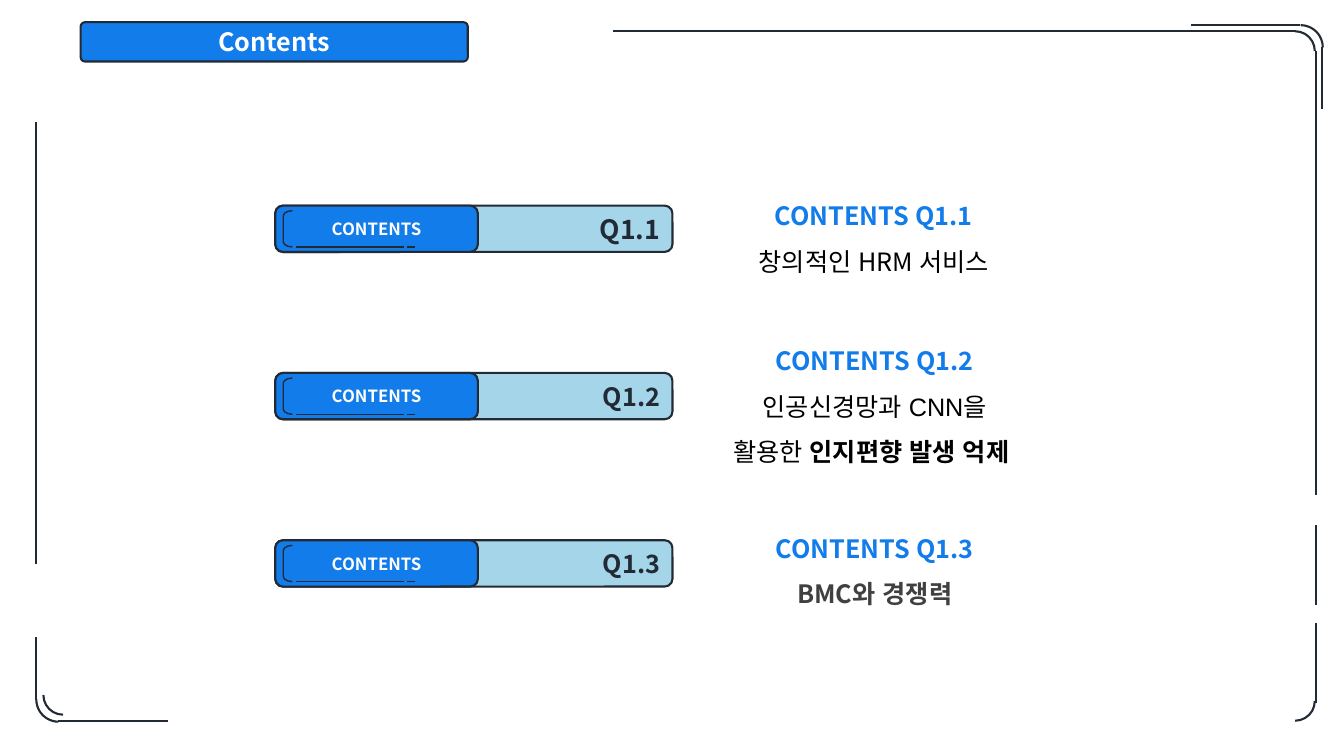
from lxml.etree import SubElement
from pptx import Presentation
from pptx.dml.color import RGBColor
from pptx.enum.lang import MSO_LANGUAGE_ID
from pptx.enum.shapes import MSO_CONNECTOR, MSO_SHAPE
from pptx.enum.text import MSO_ANCHOR, MSO_AUTO_SIZE, PP_ALIGN
from pptx.oxml.ns import qn
from pptx.util import Inches, Pt

COLORS = {
    "blue": "127CEA",
    "pale": "A5D5E9",
    "ink": "222A35",
    "white": "FFFFFF",
    "black": "000000",
    "gray": "404040",
}
SANS = "Noto Sans CJK KR"


def add_run(p, text, size, color, bold=True, name=SANS):
    r = p.add_run()
    r.text = text
    formats = {"size": Pt(size), "bold": bold, "name": name,
               "language_id": MSO_LANGUAGE_ID.KOREAN}
    for key, value in formats.items():
        setattr(r.font, key, value)
    r.font.color.rgb = RGBColor.from_string(COLORS[color])
    SubElement(r.font._element, qn("a:ea")).set("typeface", SANS)


def add_outline(shapes, kind, box, width, fill=None):
    lengths = [Inches(v) for v in box]
    if kind == "line":
        sp = shapes.add_connector(MSO_CONNECTOR.STRAIGHT, *lengths)
        SubElement(sp._element.spPr, qn("a:effectLst"))
    else:
        sp = shapes.add_shape(kind, *lengths)
        sp.shadow.inherit = False
        if fill:
            sp.fill.solid()
            sp.fill.fore_color.rgb = RGBColor.from_string(COLORS[fill])
        else:
            sp.fill.background()
    sp.line.color.rgb = RGBColor.from_string(COLORS["ink"])
    sp.line.width = Pt(width)
    return sp


prs = Presentation()
prs.slide_width = Inches(13.33)
prs.slide_height = Inches(7.5)
s = prs.slides.add_slide(prs.slide_layouts[6])

bars = [((0.8, 0.22, 3.84, 0.39), 0.111, "blue", "Contents", 18, "white", PP_ALIGN.CENTER)]
sections = [
    ("Q1.1", 19, (7.02, 1.79, 3.29, 0.95),
     [("창의적인 HRM 서비스", 18, "black", False)]),
    ("Q1.2", 18, (7.17, 3.23, 3.01, 1.4),
     [("인공신경망과 CNN을 활용한 ", 18, "black", False, "Arial"),
      ("인지편향 발생 억제 ", 18, "black", True, "Arial")]),
    ("Q1.3", 18, (7.4, 5.09, 2.55, 0.95),
     [("BMC와 경쟁력", 18, "gray")]),
]
for i, (label, size, box, runs) in enumerate(sections):
    top = 2.04 + 1.66 * i
    bars += [
        ((2.73, top, 3.94, 0.46), 0.167, "pale", label, size, "ink", PP_ALIGN.RIGHT),
        ((2.73, top, 2.01, 0.46), 0.167, "blue", "CONTENTS", 12, "white", PP_ALIGN.CENTER),
    ]

for box, radius, fill, text, size, color, align in bars:
    sp = add_outline(s.shapes, MSO_SHAPE.ROUNDED_RECTANGLE, box, 1.5, fill)
    sp.adjustments[0] = radius
    tf = sp.text_frame
    tf.vertical_anchor = MSO_ANCHOR.MIDDLE
    p = tf.paragraphs[0]
    p.alignment = align
    add_run(p, text, size, color)

for i, (label, size, box, runs) in enumerate(sections):
    top = 2.04 + 1.66 * i
    trim = s.shapes.add_group_shape().shapes
    bracket = add_outline(trim, MSO_SHAPE.RIGHT_BRACKET, (2.81, top + 0.05, 0.09, 0.36), 1)
    bracket.rotation = 180
    bracket.adjustments[0] = 0.557
    for right, left in [(4.01, 2.94), (4.12, 4.04)]:
        add_outline(trim, "line", (right, top + 0.41, left, top + 0.41), 1)

    tf = s.shapes.add_textbox(*[Inches(v) for v in box]).text_frame
    tf.word_wrap = True
    tf.auto_size = MSO_AUTO_SIZE.SHAPE_TO_FIT_TEXT
    heading = [("CONTENTS " + label, 18, "blue")]
    for p, content in [(tf.paragraphs[0], heading), (tf.add_paragraph(), runs)]:
        p.alignment = PP_ALIGN.CENTER
        p.line_spacing = 1.5
        for run in content:
            add_run(p, *run)

frame = s.shapes.add_group_shape().shapes
corners = [
    (12.65, 0.31, 0.39, 0),
    (12.68, 0.25, 0.44, 0),
    (12.65, 6.76, 0.39, 90),
    (0.43, 6.7, 0.39, 180),
    (0.36, 6.72, 0.44, 180),
]
for left, top, size, angle in corners:
    add_outline(frame, MSO_SHAPE.ARC, (left, top, size, size), 1.5).rotation = angle

edges = [
    (12.85, 0.31, 6.08, 0.31),
    (13.05, 4.91, 13.05, 0.51),
    (12.89, 0.25, 11.81, 0.25),
    (13.11, 1.08, 13.11, 0.47),
    (13.05, 6, 13.05, 5.21),
    (13.05, 6.97, 13.05, 6.18),
    (0.58, 7.15, 1.67, 7.15),
    (0.36, 6.32, 0.36, 6.94),
    (0.36, 5.6, 0.36, 1.21),
]
for edge in edges:
    add_outline(frame, "line", edge, 1.5)

prs.save("out.pptx")
